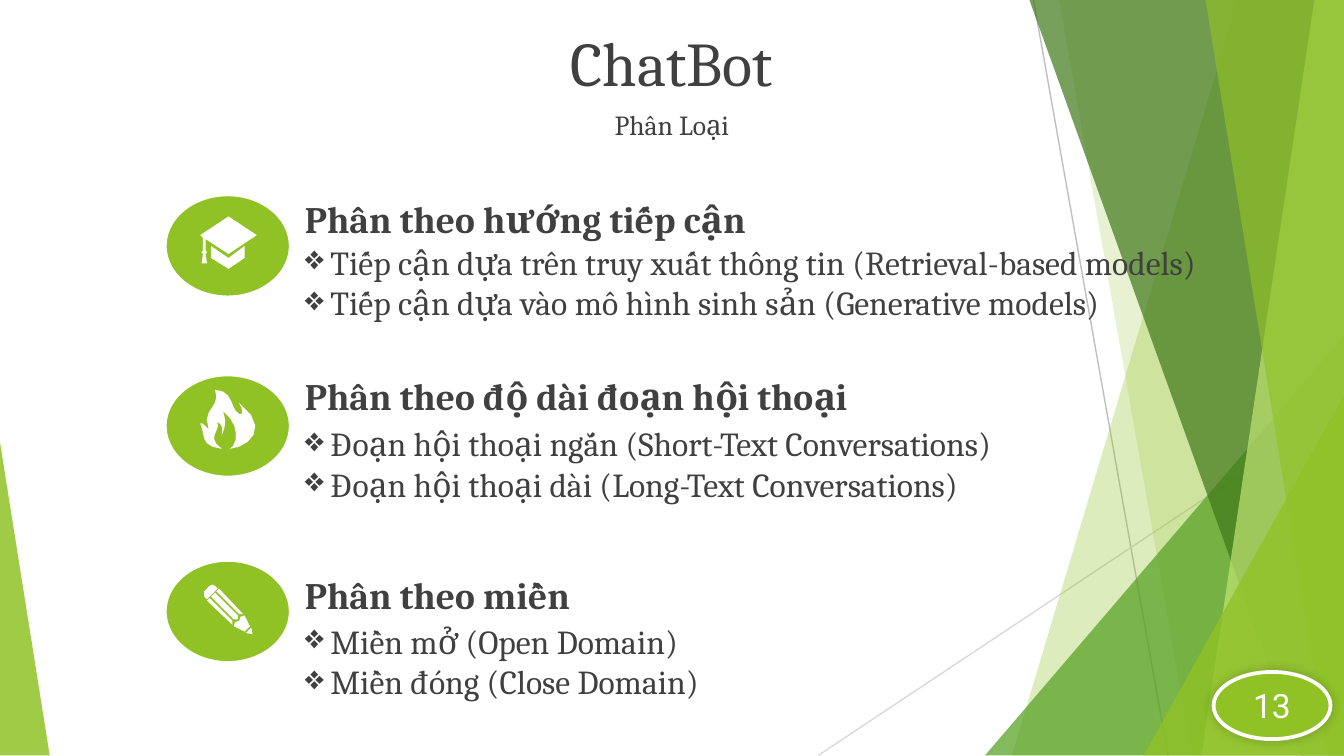
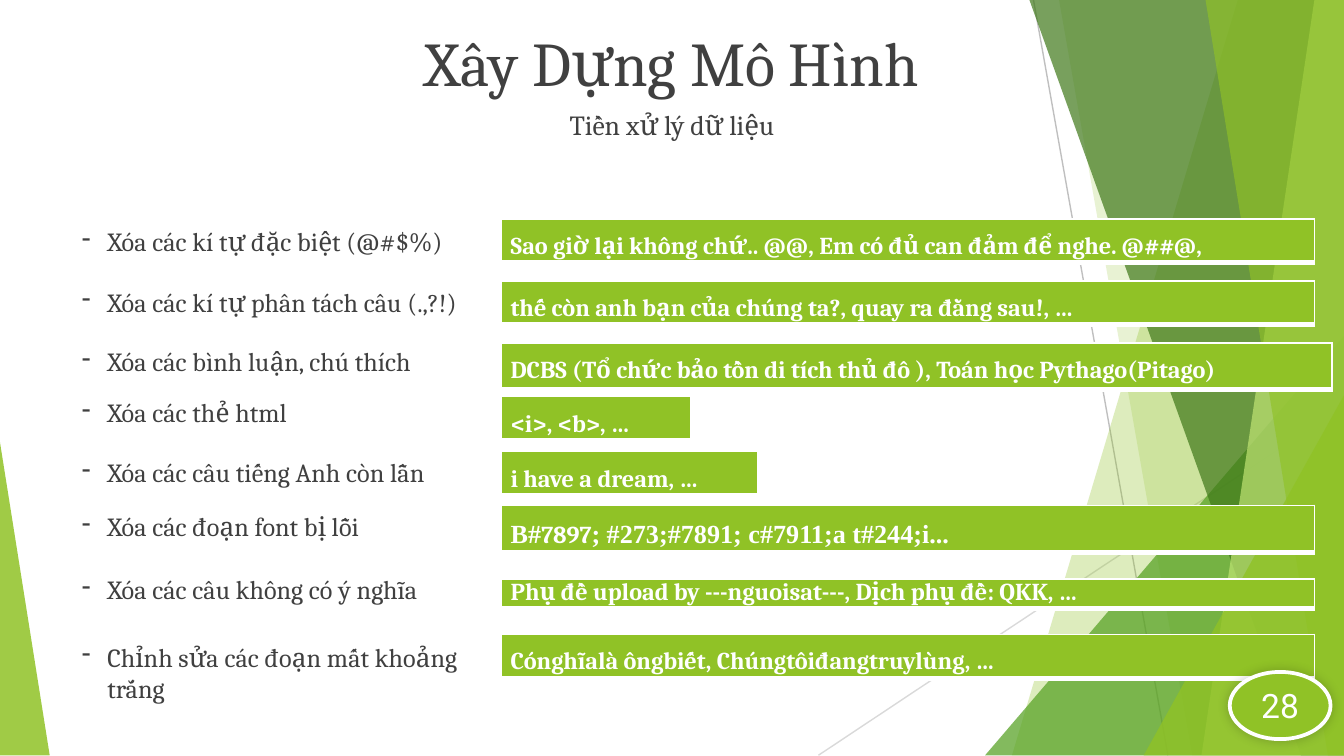
from lxml import etree
from pptx import Presentation
from pptx.dml.color import RGBColor
from pptx.enum.shapes import MSO_CONNECTOR, MSO_SHAPE
from pptx.enum.text import MSO_ANCHOR, MSO_AUTO_SIZE, PP_ALIGN
from pptx.oxml.ns import qn
from pptx.util import Inches, Pt

CENTER, JUSTIFY = PP_ALIGN.CENTER, PP_ALIGN.JUSTIFY
MIDDLE = MSO_ANCHOR.MIDDLE
NO_FIT = MSO_AUTO_SIZE.NONE
OVAL, TRIANGLE = MSO_SHAPE.OVAL, MSO_SHAPE.ISOSCELES_TRIANGLE
STRAIGHT = MSO_CONNECTOR.STRAIGHT

LIME = RGBColor(0x90, 0xC2, 0x26)
GREEN = RGBColor(0x54, 0xA0, 0x21)
FOREST = RGBColor(0x3F, 0x78, 0x19)
PALE = RGBColor(0xC0, 0xE4, 0x74)
INK = RGBColor(0x40, 0x40, 0x40)
WHITE = RGBColor(0xFF, 0xFF, 0xFF)
GRAY = RGBColor(0xBF, 0xBF, 0xBF)
SILVER = RGBColor(0xD9, 0xD9, 0xD9)

TITLE = {"name": "Cambria", "size": Pt(33.3), "bold": False, "rgb": INK}
SUBTITLE = {**TITLE, "size": Pt(14.8)}
HEADING = {**TITLE, "size": Pt(20), "bold": True}
ITEM = {**TITLE, "size": Pt(18)}
STEP = {**TITLE, "size": Pt(14)}
EXAMPLE = {"name": "Cambria", "size": Pt(13), "bold": True, "rgb": WHITE}
EXAMPLE_TIMES = {**EXAMPLE, "name": "Times New Roman", "size": Pt(14)}
NUMBER = {"name": "Roboto", "size": Pt(18), "bold": False, "rgb": WHITE}


def write(tf, paras, font, bullet=None, **para_format):
    """Fill a text frame; a paragraph is a string or a list of (text, font)."""
    tf.word_wrap = True
    for i, runs in enumerate(paras):
        p = tf.add_paragraph() if i else tf.paragraphs[0]
        for key, value in para_format.items():
            setattr(p, key, value)
        if bullet:
            pPr = p._p.get_or_add_pPr()
            pPr.set("marL", str(Inches(0.19)))
            pPr.set("indent", str(Inches(-0.19)))
            etree.SubElement(pPr, qn("a:buChar")).set("char", bullet)
        for text, fmt in [(runs, font)] if isinstance(runs, str) else runs:
            r = p.add_run()
            r.text = text
            for key, value in fmt.items():
                if key == "rgb":
                    r.font.color.rgb = value
                else:
                    setattr(r.font, key, value)


def draw(shapes, fill, alpha=100, contours=None, preset=None, box=None):
    """Add a filled preset in a box, or a freeform made of closed contours."""
    if preset is not None:
        sp = shapes.add_shape(preset, *map(Inches, box))
    else:
        paths = [[(Inches(x), Inches(y)) for x, y in c] for c in contours]
        builder = shapes.build_freeform(*paths[0][0])
        for i, path in enumerate(paths):
            if i:
                builder.move_to(*path[0])
            builder.add_line_segments(path[1:], close=True)
        sp = builder.convert_to_shape()
    sp.shadow.inherit = False
    sp.fill.solid()
    sp.fill.fore_color.rgb = fill
    sp.line.fill.background()
    if alpha < 100:
        color = sp.element.spPr.find(qn("a:solidFill"))[0]
        etree.SubElement(color, qn("a:alpha")).set("val", str(alpha * 1000))
    return sp


prs = Presentation()
prs.slide_width, prs.slide_height = Inches(10), Inches(5.625)

# Slides with title and subtitle
pages = [("ChatBot", "Phân Loại"), ("Xây Dựng Mô Hình", "Tiền xử lý dữ liệu")]
for title, subtitle in pages:
    slide = prs.slides.add_slide(prs.slide_layouts[0])
    heads = [(slide.shapes.title, title, TITLE, 0.14, 0.63),
             (slide.placeholders[1], subtitle, SUBTITLE, 0.77, 0.31)]
    for sp, text, font, top, height in heads:
        sp.left, sp.top = 0, Inches(top)
        sp.width, sp.height = Inches(10), Inches(height)
        tf = sp.text_frame
        tf.auto_size, tf.vertical_anchor = NO_FIT, MIDDLE
        write(tf, [text], font, alignment=CENTER, space_before=Pt(7.5))
types_slide, clean_slide = prs.slides

# Shared backdrop, grouped and moved to the slide master
backdrop = types_slide.shapes.add_group_shape()
for ends, color in [((7.69, 0, 8.69, 5.62), GRAY), ((10, 3.02, 6.09, 5.62), SILVER)]:
    line = backdrop.shapes.add_connector(STRAIGHT, *map(Inches, ends))
    line.line.color.rgb, line.line.width = color, Pt(0.75)
    etree.SubElement(line.element.spPr, qn("a:effectLst"))

# Bands run to the right edge: (top x, bottom x); triangles: (box, apex)
facets = [
    ((9.21, 7.53), LIME, 30),
    ((7.88, 8.87), LIME, 20),
    (((7.33, 2.5, 2.67, 3.12), 1), GREEN, 72),
    ((7.66, 9.68), FOREST, 70),
    ((9.78, 8.94), PALE, 70),
    ((8.97, 9.88), LIME, 65),
    (((8.51, 2.94, 1.49, 2.68), 1), LIME, 80),
    (((0, 3.29, 0.37, 2.33), 0), LIME, 85),
]
for (a, b), color, alpha in facets:
    if isinstance(a, tuple):
        sp = draw(backdrop.shapes, color, alpha, preset=TRIANGLE, box=a)
        sp.adjustments[0] = b
    else:
        band = [(a, 0), (10, 0), (10, 5.62), (b, 5.62)]
        draw(backdrop.shapes, color, alpha, [band])
for number, el in enumerate(backdrop.element.xpath(".//p:cNvPr"), 20):
    el.set("id", str(number))
prs.slide_master.shapes.element.append(backdrop.element)

# Slide 1: icon outlines
cap = [
    [(1.82, 1.83), (1.7, 1.92), (1.57, 1.83), (1.57, 1.92), (1.7, 2), (1.82, 1.92)],
    [(1.7, 1.61), (1.49, 1.75), (1.51, 1.77), (1.51, 1.86), (1.5, 1.88),
     (1.51, 1.89), (1.5, 1.96), (1.54, 1.96), (1.53, 1.89), (1.54, 1.88),
     (1.53, 1.86), (1.53, 1.78), (1.7, 1.89), (1.91, 1.75)],
]
pencil = [
    [(1.87, 4.67), (1.83, 4.71), (1.88, 4.72)],
    [(1.82, 4.58), (1.79, 4.59), (1.78, 4.62), (1.75, 4.63), (1.74, 4.66),
     (1.82, 4.7), (1.86, 4.66)],
    [(1.56, 4.45), (1.54, 4.47), (1.73, 4.65), (1.73, 4.62)],
    [(1.6, 4.41), (1.57, 4.44), (1.74, 4.61), (1.77, 4.61), (1.77, 4.58)],
    [(1.63, 4.38), (1.61, 4.4), (1.78, 4.57), (1.81, 4.57)],
    [(1.58, 4.35), (1.56, 4.36), (1.52, 4.4), (1.52, 4.44), (1.54, 4.46),
     (1.62, 4.38), (1.6, 4.36)],
]
# The flame is a chain of cubic curves, each sampled in six steps
flame_curves = [
    [(1.48, 3.32), (1.53, 3.23), (1.49, 3.15)],
    [(1.52, 3.14), (1.56, 3.22), (1.55, 3.18)],
    [(1.5, 3.04), (1.65, 3.03), (1.6, 2.9)],
    [(1.75, 2.91), (1.71, 3.05), (1.78, 3.08)],
    [(1.8, 3.09), (1.82, 3.07), (1.78, 3)],
    [(2.02, 3.18), (1.85, 3.33), (1.71, 3.34)],
    [(1.77, 3.31), (1.79, 3.16), (1.66, 3.06)],
    [(1.69, 3.15), (1.67, 3.19), (1.65, 3.24)],
    [(1.65, 3.21), (1.67, 3.17), (1.62, 3.14)],
    [(1.64, 3.22), (1.53, 3.25), (1.65, 3.34)],
]
flame = [(1.65, 3.34)]
for c1, c2, end in flame_curves:
    start = flame[-1]
    for t in [step / 6 for step in range(1, 7)]:
        u = 1 - t
        flame.append(tuple(
            u**3 * a + 3 * u * u * t * b + 3 * u * t * t * c + t**3 * d
            for a, b, c, d in zip(start, c1, c2, end)))

# Slide 1: three ways to classify
groups = [
    (1.45, cap, 1.41, "Phân theo hướng tiếp cận", 1.75,
     ["Tiếp cận dựa trên truy xuất thông tin (Retrieval-based models)",
      "Tiếp cận dựa vào mô hình sinh sản (Generative models)"]),
    (2.79, [flame], 2.73, "Phân theo độ dài đoạn hội thoại", 3.1,
     ["Đoạn hội thoại ngắn (Short-Text Conversations)",
      "Đoạn hội thoại dài (Long-Text Conversations)"]),
    (4.17, pencil, 4.21, "Phân theo miền", 4.57,
     ["Miền mở (Open Domain)", "Miền đóng (Close Domain)"]),
]
shapes = types_slide.shapes
for disc_top, icon, heading_top, heading, list_top, items in groups:
    disc = draw(shapes, LIME, preset=OVAL, box=(1.23, disc_top, 0.93, 0.76))
    disc.line.color.rgb, disc.line.width = WHITE, Pt(1.5)
    draw(shapes, WHITE, contours=icon)
    for top, height, paras, font, bullet in [
            (heading_top, 0.44, [heading], HEADING, None),
            (list_top, 0.71, items, ITEM, "❖")]:
        sp = shapes.add_textbox(Inches(2.17), Inches(top), Inches(7.62), Inches(height))
        write(sp.text_frame, paras, font, bullet)

# Slide 2: cleaning steps, each with an example in a one-cell table
steps = [
    (1.63, "Xóa các kí tự đặc biệt (@#$%)", 1.63, 6.05, 0.29, 1.5,
     "Sao giờ lại không chứ.. @@, Em có đủ can đảm để nghe. @##@,"),
    (2.08, "Xóa các kí tự phân tách câu (.,?!)", 2.09, 6.05, 0.29, 1.5,
     "thế còn anh bạn của chúng ta?, quay ra đằng sau!, …"),
    (2.52, "Xóa các bình luận, chú thích", 2.55, 6.18, 0.35, 1.5,
     "DCBS (Tổ chức bảo tồn di tích thủ đô ), Toán học Pythago(Pitago)"),
    (2.9, "Xóa các thẻ html", 2.95, 1.41, 0.29, 1.5, "<i>, <b>, …"),
    (3.35, "Xóa các câu tiếng Anh còn lẫn", 3.36, 1.91, 0.29, 1.5,
     "i have a dream, …"),
    (3.75, "Xóa các đoạn font bị lỗi", 3.76, 6.05, 0.31, 1.5,
     [("B#", EXAMPLE_TIMES), ("7897", EXAMPLE),
      ("; #273;#7891; c#7911;a t#244;i...", EXAMPLE_TIMES)]),
    (4.22, "Xóa các câu không có ý nghĩa", 4.31, 6.05, 0.22, 1,
     "Phụ đề upload by ---nguoisat---, Dịch phụ đề: QKK, …"),
    (4.72, "Chỉnh sửa các đoạn mất khoảng trắng", 4.72, 6.05, 0.29, 1.5,
     "Cónghĩalà ôngbiết, Chúngtôiđangtruylùng, …"),
]
shapes = clean_slide.shapes
for label_top, label, top, width, height, spacing, example in steps:
    sp = shapes.add_textbox(Inches(0.51), Inches(label_top), Inches(3.21), Inches(0.34))
    write(sp.text_frame, [label], STEP, "-")

    table = shapes.add_table(1, 1, Inches(3.73), Inches(top),
                             Inches(width), Inches(height)).table
    table.first_row = table.horz_banding = False
    cell = table.cell(0, 0)
    cell.margin_left = cell.margin_right = Inches(0.07)
    cell.margin_top = cell.margin_bottom = 0
    tcPr = cell._tc.get_or_add_tcPr()
    for side, points in [("L", 1), ("R", 1), ("T", 1), ("B", 3)]:
        ln = etree.SubElement(tcPr, qn("a:ln" + side), w=str(Pt(points)))
        fill = etree.SubElement(ln, qn("a:solidFill"))
        etree.SubElement(fill, qn("a:srgbClr"), val=str(WHITE))
    cell.fill.solid()
    cell.fill.fore_color.rgb = LIME
    write(cell.text_frame, [example], EXAMPLE, alignment=JUSTIFY, line_spacing=spacing)

# Page number badges
for slide, number, left in [(types_slide, "13", 9.03), (clean_slide, "28", 9.15)]:
    sp = draw(slide.shapes, LIME, preset=OVAL, box=(left, 5, 9.9 - left, 0.5))
    sp.line.color.rgb, sp.line.width = WHITE, Pt(2)
    effects = sp.element.spPr.find(qn("a:effectLst"))
    shadow = etree.SubElement(effects, qn("a:outerShdw"), blurRad=str(Pt(6)),
                              dist="0", dir=str(315 * 60000))
    color = etree.SubElement(shadow, qn("a:srgbClr"), val="000000")
    etree.SubElement(color, qn("a:alpha"), val="20000")
    sp.text_frame.vertical_anchor = MIDDLE
    write(sp.text_frame, [number], NUMBER, alignment=CENTER)

prs.save("out.pptx")
